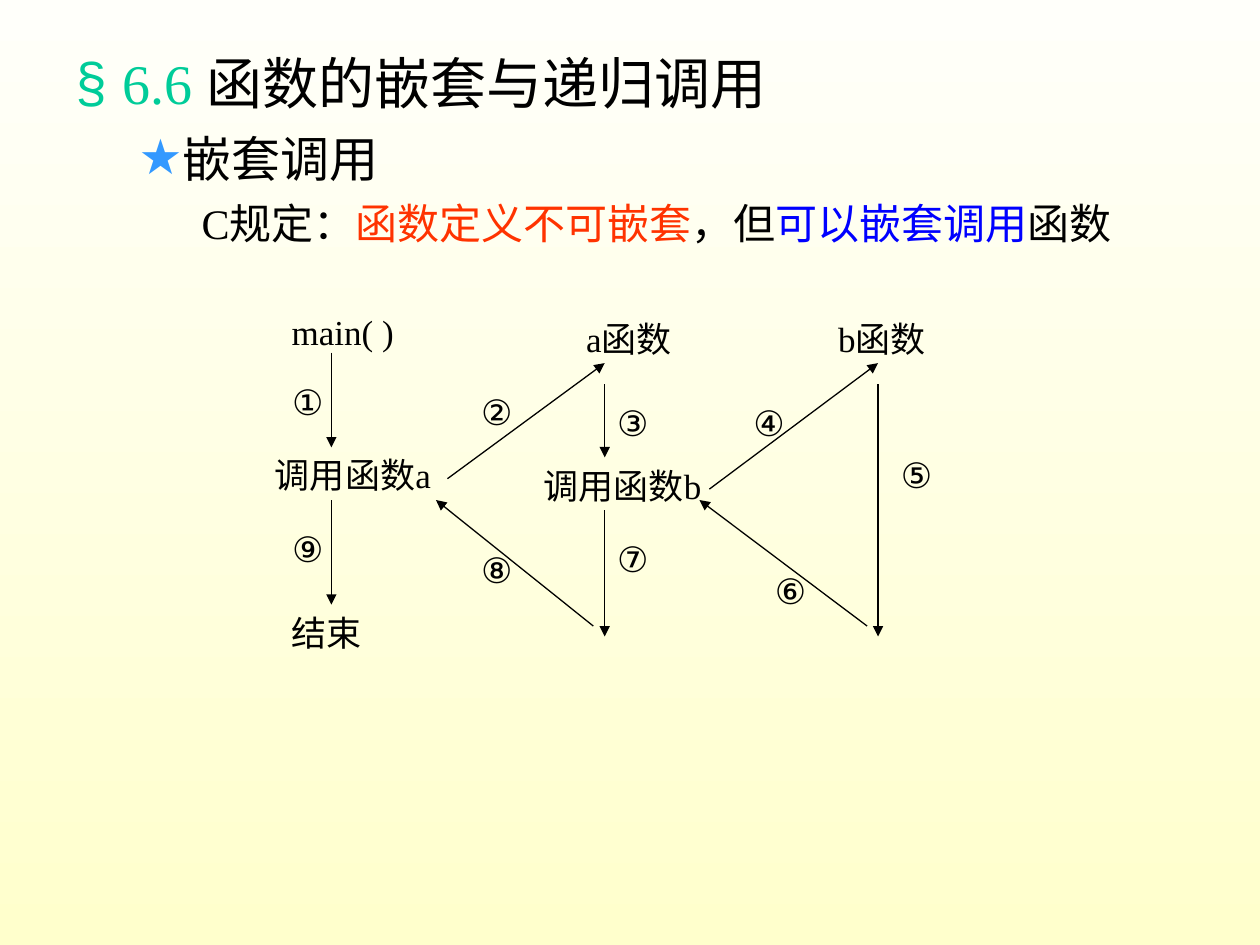
from lxml.etree import SubElement
from pptx import Presentation
from pptx.dml.color import RGBColor
from pptx.enum.shapes import MSO_CONNECTOR
from pptx.enum.text import MSO_ANCHOR, MSO_AUTO_SIZE, PP_ALIGN
from pptx.oxml.ns import qn
from pptx.util import Cm, Pt

BLACK, GREEN, STAR_BLUE, RED, BLUE = "000000", "00CC99", "3399FF", "FF3300", "0000FF"
BACKGROUND = ["FFFFFA", "FFFFCC"]
SERIF, SANS = "Times New Roman", "Arial"

# level, size, space before, left margin, hanging indent, bullet, bullet colour, runs
OUTLINE = [
    (0, 32, 0, 0.95, 0.95, "§", GREEN, [("6.6 ", GREEN), ("函数的嵌套与递归调用", BLACK)]),
    (1, 28, 7, 2.06, 0.79, "★", STAR_BLUE, [("嵌套调用", BLACK)]),
    (2, 24, 6, 3.18, 0.64, None, None, [
        ("C规定：", BLACK), ("函数定义不可嵌套", RED), ("，但", BLACK),
        ("可以嵌套调用", BLUE), ("函数", BLACK)]),
]

MAIN_X, A_X, B_X = 6.68, 12.19, 17.7
LABEL_HEIGHT, NUMBER_WIDTH = 1.12, 1.13

FUNCTION_LABELS = [
    ("main( )", 5.61, 6.13, 2.6),
    ("调用函数a", 5.19, 9.0, 3.85),
    ("结束", 5.58, 12.19, 2.0),
    ("a函数", 11.43, 6.27, 2.5),
    ("b函数", 16.53, 6.27, 2.5),
    ("调用函数b", 10.6, 9.22, 3.9),
]

CALL_STEPS = [
    ("①", 5.64, 7.54, (MAIN_X, 7.11), (MAIN_X, 9.02)),
    ("②", 9.45, 7.73, (9.02, 9.65), (A_X, 7.32)),
    ("③", 12.19, 7.95, (A_X, 7.75), (A_X, 9.22)),
    ("④", 14.94, 7.95, (14.3, 9.86), (B_X, 7.32)),
    ("⑤", 17.91, 9.0, (B_X, 7.75), (B_X, 12.83)),
    ("⑥", 15.37, 11.35, (17.48, 12.62), (14.1, 10.08)),
    ("⑦", 12.19, 10.7, (A_X, 10.29), (A_X, 12.83)),
    ("⑧", 9.45, 10.92, (11.96, 12.62), (8.79, 10.08)),
    ("⑨", 5.64, 10.49, (MAIN_X, 10.08), (MAIN_X, 12.19)),
]


def paint(color_format, color):
    color_format.rgb = RGBColor.from_string(color)


def set_font(font, size, name):
    font.size, font.name = Pt(size), name


def set_bullet(properties, bullet, color):
    if bullet is None:
        SubElement(properties, qn("a:buNone"))
        return
    bullet_color = SubElement(properties, qn("a:buClr"))
    SubElement(bullet_color, qn("a:srgbClr"), val=color)
    SubElement(properties, qn("a:buFont"), typeface=SANS)
    SubElement(properties, qn("a:buChar"), char=bullet)


def fill_outline(body):
    body.left, body.top, body.width, body.height = Cm(1.27), Cm(0.86), Cm(23.06), Cm(4.24)
    frame = body.text_frame
    frame.auto_size = MSO_AUTO_SIZE.NONE
    frame.vertical_anchor = MSO_ANCHOR.TOP
    for index, (level, size, before, margin, hanging, bullet, color, runs) in enumerate(OUTLINE):
        paragraph = frame.add_paragraph() if index else frame.paragraphs[0]
        paragraph.level = level
        paragraph.space_before = Pt(before)
        properties = paragraph._p.get_or_add_pPr()
        properties.set("marL", str(Cm(margin)))
        properties.set("indent", str(-Cm(hanging)))
        set_bullet(properties, bullet, color)
        set_font(paragraph.font, size, SERIF)
        for text, run_color in runs:
            run = paragraph.add_run()
            run.text = text
            paint(run.font.color, run_color)


def add_label(slide, text, left, top, width, font_name):
    label = slide.shapes.add_textbox(Cm(left), Cm(top), Cm(width), Cm(LABEL_HEIGHT))
    frame = label.text_frame
    frame.word_wrap = False
    frame.auto_size = MSO_AUTO_SIZE.SHAPE_TO_FIT_TEXT
    frame.vertical_anchor = MSO_ANCHOR.MIDDLE
    paragraph = frame.paragraphs[0]
    paragraph.text = text
    paragraph.alignment = PP_ALIGN.CENTER
    set_font(paragraph.font, 20, font_name)
    paint(paragraph.font.color, BLACK)


def add_arrow(slide, start, end):
    arrow = slide.shapes.add_connector(MSO_CONNECTOR.STRAIGHT, *map(Cm, start + end))
    arrow.line.width = Pt(0.75)
    paint(arrow.line.color, BLACK)
    SubElement(arrow.line._get_or_add_ln(), qn("a:tailEnd"), type="triangle")
    SubElement(arrow._element.spPr, qn("a:effectLst"))


def main():
    """Build the slide on nested function calls."""
    presentation = Presentation()
    presentation.slide_width, presentation.slide_height = Cm(25.4), Cm(19.05)
    slide = presentation.slides.add_slide(presentation.slide_layouts[1])

    background = slide.background.fill
    background.gradient()
    background.gradient_angle = 270
    for stop, color in zip(background.gradient_stops, BACKGROUND):
        paint(stop.color, color)

    title, body = slide.placeholders
    title._element.getparent().remove(title._element)
    fill_outline(body)

    for text, left, top, width in FUNCTION_LABELS:
        add_label(slide, text, left, top, width, SERIF)
    for number, left, top, start, end in CALL_STEPS:
        add_arrow(slide, start, end)
        add_label(slide, number, left, top, NUMBER_WIDTH, SANS)

    presentation.save("out.pptx")


if __name__ == "__main__":
    main()
